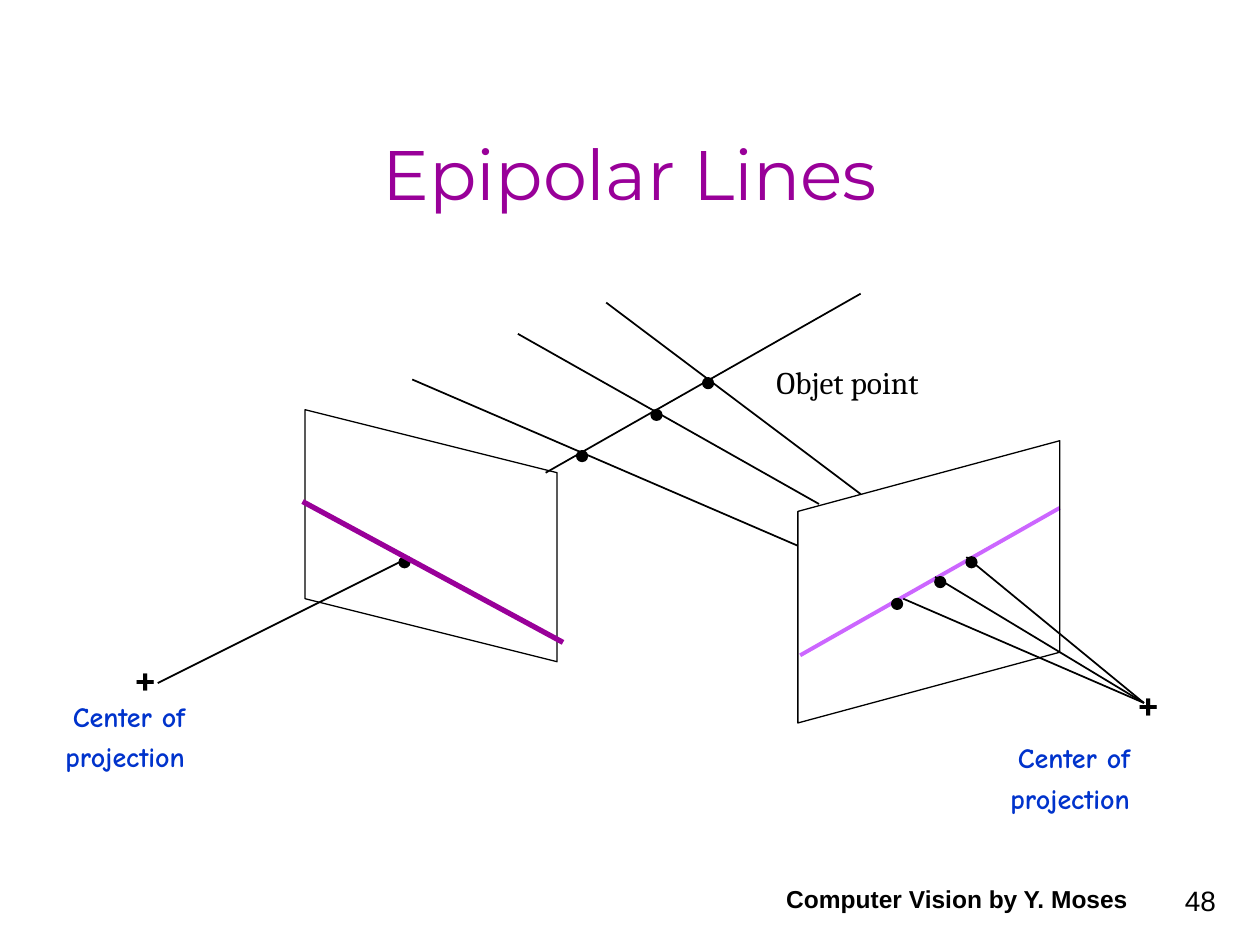
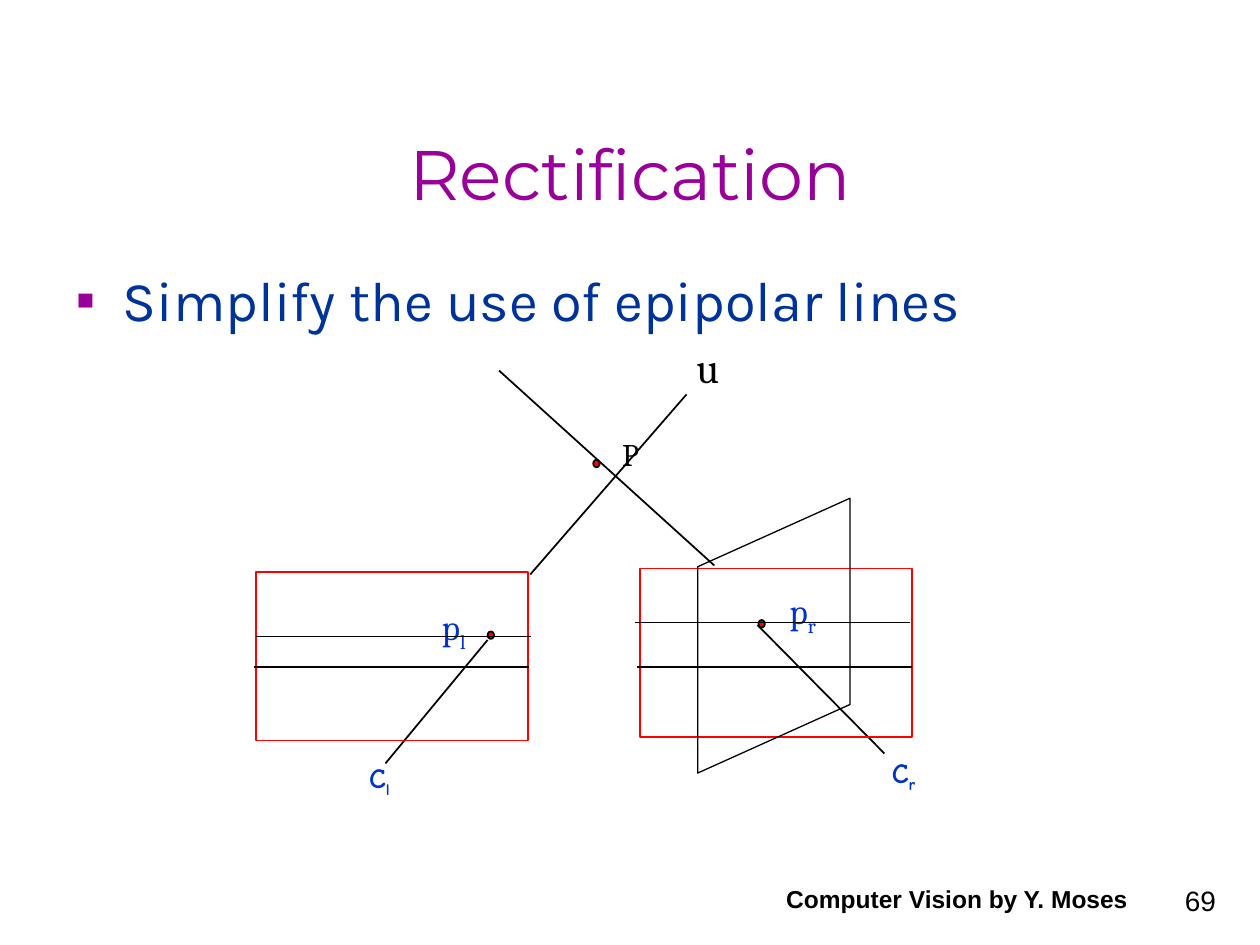
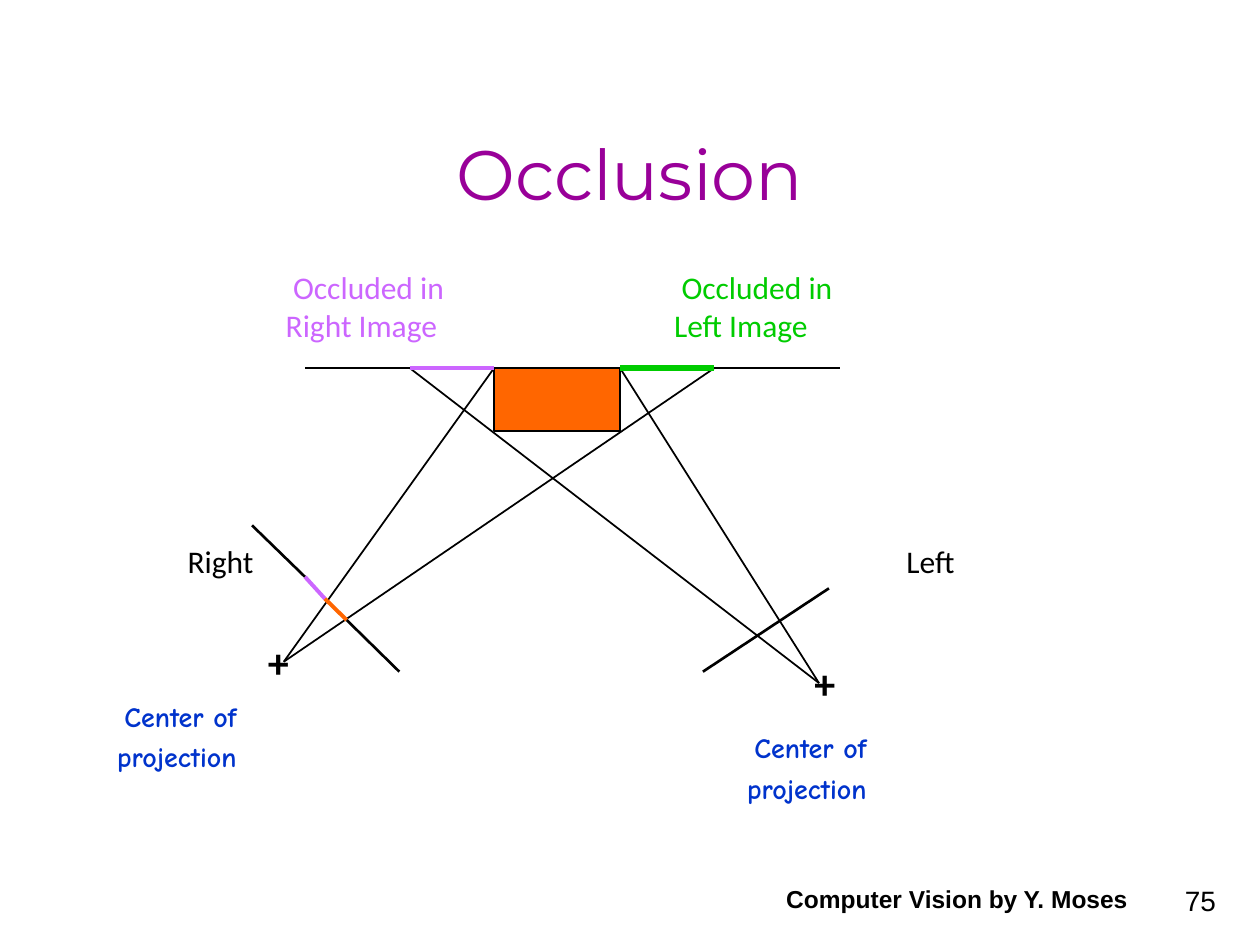
from lxml import etree
from pptx import Presentation
from pptx.dml.color import RGBColor
from pptx.enum.shapes import MSO_CONNECTOR, MSO_SHAPE
from pptx.enum.text import MSO_ANCHOR, MSO_AUTO_SIZE, PP_ALIGN
from pptx.oxml.ns import qn
from pptx.util import Cm, Pt

STRAIGHT = MSO_CONNECTOR.STRAIGHT
OVAL, RECT, SLANT = MSO_SHAPE.OVAL, MSO_SHAPE.RECTANGLE, MSO_SHAPE.PARALLELOGRAM
TOP, BOTTOM = MSO_ANCHOR.TOP, MSO_ANCHOR.BOTTOM
LEFT, MID, RIGHT = PP_ALIGN.LEFT, PP_ALIGN.CENTER, PP_ALIGN.RIGHT
FIXED = MSO_AUTO_SIZE.NONE

INK = {
    "black": "000000", "purple": "990099", "lilac": "CC66FF", "blue": "0033CC",
    "navy": "003399", "red": "FF0000", "orange": "FF6600", "green": "00CC00",
}
SERIF, SANS, COMIC = "Cambria", "Calibri", "Comic Neue"
TITLE_ONLY, TITLE_BODY = 5, 1


def color(name):
    return RGBColor.from_string(INK[name])


def style(para, face, size, ink, bold=False, align=LEFT):
    para.alignment = align
    para.space_before = Pt(0)
    font = para.font
    font.name, font.size, font.bold = face, Pt(size), bold
    font.color.rgb = color(ink)


def place(shape, left, top, width, height):
    shape.left, shape.top = Cm(left), Cm(top)
    shape.width, shape.height = Cm(width), Cm(height)


def label(slide, box, text, face, size, ink="black", bold=False,
          align=LEFT, anchor=TOP, sub=None):
    frame = slide.shapes.add_textbox(*map(Cm, box)).text_frame
    frame.word_wrap = True
    frame.vertical_anchor = anchor
    for index, line in enumerate(text.split("\n")):
        para = frame.paragraphs[0] if index == 0 else frame.add_paragraph()
        para.add_run().text = line
        if sub:
            low = para.add_run()
            low.text = sub
            low.font._element.set("baseline", "-25000")
        style(para, face, size, ink, bold, align)
    return frame


def pair(slide, left, top, text, face, size, ink, bold=False):
    frame = label(slide, (left, top, 4.3, 1.78), text, face, size, ink, bold)
    frame.paragraphs[0]._p.get_or_add_pPr().set("marL", str(Cm(0.15)))
    return frame


def center(slide, left, top):
    frame = pair(slide, left, top, "Center of\nprojection", COMIC, 16, "blue", True)
    frame.paragraphs[1].line_spacing = Pt(23)


def plus(slide, left, top, face):
    label(slide, (left, top, 1.42, 1.27), "+", face, 24, bold=True, align=RIGHT)


def line(slide, start, end, ink="black", weight=1):
    link = slide.shapes.add_connector(STRAIGHT, *map(Cm, start + end))
    link.line.color.rgb = color(ink)
    link.line.width = Pt(weight)
    etree.SubElement(link._element.spPr, qn("a:effectLst"))


def rays(slide, eye, ends):
    for end in ends:
        line(slide, eye, end)


def form(slide, kind, box, fill=None, ink="black", weight=1):
    shape = slide.shapes.add_shape(kind, *map(Cm, box))
    shape.shadow.inherit = False
    if fill:
        shape.fill.solid()
        shape.fill.fore_color.rgb = color(fill)
    else:
        shape.fill.background()
    shape.line.color.rgb = color(ink)
    shape.line.width = Pt(weight)
    return shape


def plane(slide, box, slant, turn, flip=False):
    shape = form(slide, SLANT, box, weight=0.75)
    shape.adjustments[0] = slant
    shape.rotation = turn
    if flip:
        shape._element.spPr.find(qn("a:xfrm")).set("flipH", "1")


def dots(slide, spots, width, height, fill):
    for left, top in spots:
        form(slide, OVAL, (left, top, width, height), fill)


def bullet(para):
    props = para._p.get_or_add_pPr()
    props.set("marL", str(Cm(0.95)))
    props.set("indent", str(-Cm(0.95)))
    tint = etree.SubElement(props, qn("a:buClr"))
    etree.SubElement(tint, qn("a:srgbClr"), val=INK["purple"])
    etree.SubElement(props, qn("a:buChar"), char="▪")


def start(deck, title, page, layout=TITLE_ONLY):
    slide = deck.slides.add_slide(deck.slide_layouts[layout])
    head = slide.shapes.title
    place(head, 1.9, 1.27, 21.6, 3.18)
    frame = head.text_frame
    frame.text = title
    frame.auto_size = FIXED
    frame.vertical_anchor = BOTTOM
    style(frame.paragraphs[0], "Montserrat", 40, "purple", align=MID)
    label(slide, (19.48, 17.35, 5.28, 1.27), page, "Arial", 16,
          align=RIGHT, anchor=BOTTOM)
    label(slide, (15.27, 17.27, 8.05, 1.27), "Computer Vision by Y. Moses",
          "Arial", 14, bold=True, align=MID, anchor=BOTTOM)
    return slide


def epipolar(deck):
    slide = start(deck, "Epipolar Lines", "48")
    line(slide, (21.36, 10.24), (16.13, 13.21), "lilac", 2.25)
    plane(slide, (15.88, 9.09, 5.69, 5.28), 0.27, 270, True)
    plane(slide, (6.15, 8.26, 5.08, 5.08), 0.25, 90)
    plus(slide, 2.01, 13.03, SERIF)
    plus(slide, 22.23, 13.54, SERIF)
    for begin, end in (
        ((3.18, 13.77), (8.26, 11.23)),
        ((11, 9.53), (17.35, 5.92)),
        ((12.22, 6.1), (17.35, 9.96)),
        ((16.51, 10.16), (10.44, 6.73)),
        ((16.08, 11), (8.31, 7.65)),
    ):
        line(slide, begin, end)
    rays(slide, (23.06, 14.17), [(19.48, 11.23), (18.85, 11.63), (18.21, 12.07)])
    dots(slide, [(8.05, 11.23), (19.48, 11.23), (18.85, 11.63), (17.98, 12.07),
                 (14.17, 7.62), (13.13, 8.26), (11.63, 9.09)], 0.21, 0.21, "black")
    label(slide, (15.19, 7.19, 3.58, 1.02), "Objet point", SERIF, 18, align=RIGHT)
    center(slide, 20.12, 14.81)
    center(slide, 1.07, 13.97)
    line(slide, (6.1, 10.11), (11.35, 12.95), "purple", 3)


def rectify(deck):
    slide = start(deck, "Rectification", "69", TITLE_BODY)
    body = slide.placeholders[1]
    place(body, 1.27, 5.23, 22.7, 11.58)
    frame = body.text_frame
    frame.text = "Simplify the use of epipolar lines"
    frame.auto_size = FIXED
    bullet(frame.paragraphs[0])
    style(frame.paragraphs[0], "Karla", 32, "navy")

    for left, top, sub in ((7.19, 15.21, "l"), (17.73, 15.11, "r")):
        label(slide, (left, top, 1.3, 0.94), "C", COMIC, 16, "blue", True, sub=sub)
    for begin, end in (
        ((7.77, 15.39), (9.83, 12.9)),
        ((10.69, 11.58), (13.84, 7.95)),
        ((10.06, 7.47), (14.4, 11.4)),
        ((17.83, 15.19), (15.27, 12.6)),
    ):
        line(slide, begin, end)
    dots(slide, [(9.83, 12.73), (15.29, 12.5), (11.96, 9.27)], 0.13, 0.15, "red")
    label(slide, (12.29, 8.64, 1.22, 1.02), "P", SERIF, 18)
    label(slide, (13.79, 6.76, 1.22, 1.27), "u", SERIF, 24)
    for left, top, sub in ((8.66, 12.09, "l"), (15.67, 11.76, "r")):
        label(slide, (left, top, 1.65, 1.09), "p", SERIF, 20, "blue", sub=sub)
    for left, top in ((5.16, 11.53), (12.9, 11.46)):
        form(slide, RECT, (left, top, 5.49, 3.4), ink="red")
    for left, top in ((5.16, 12.83), (5.13, 13.44), (12.85, 13.44), (12.8, 12.55)):
        line(slide, (left, top), (left + 5.54, top))
    plane(slide, (12.83, 11.28, 5.54, 3.07), 0.45, 270, True)


def occlude(deck):
    slide = start(deck, "Occlusion", "75")
    wall = 7.42
    line(slide, (6.15, wall), (16.94, wall))
    form(slide, RECT, (9.96, wall, 2.54, 1.27), "orange")
    rays(slide, (5.72, 13.34), [(14.4, wall), (9.96, wall)])
    rays(slide, (16.51, 13.77), [(8.26, wall), (12.5, wall)])
    line(slide, (16.71, 11.86), (14.17, 13.54), weight=1.5)
    plus(slide, 4.65, 12.7, SANS)
    plus(slide, 15.67, 13.13, SANS)
    line(slide, (12.5, wall), (14.4, wall), "green", 3)
    line(slide, (9.96, wall), (8.26, wall), "lilac", 2.25)
    pair(slide, 13.34, 5.28, "Occluded in\nLeft Image", SANS, 18, "green")
    pair(slide, 5.51, 5.28, "Occluded in\nRight Image", SANS, 18, "lilac")
    label(slide, (2.97, 10.8, 2.39, 1.02), "Right", SANS, 18, align=RIGHT)
    label(slide, (17.58, 10.8, 1.91, 1.02), "Left", SANS, 18, align=RIGHT)
    marks = [(5.08, 10.59), (6.15, 11.63), (6.55, 12.07), (6.99, 12.5), (8.05, 13.54)]
    looks = [("black", 1.5), ("lilac", 2.25), ("orange", 2.25), ("black", 1.5)]
    for begin, end, look in zip(marks, marks[1:], looks):
        line(slide, begin, end, *look)
    center(slide, 14.81, 14.61)
    center(slide, 2.11, 13.97)


def main():
    deck = Presentation()
    deck.slide_width, deck.slide_height = Cm(25.4), Cm(19.05)
    epipolar(deck)
    rectify(deck)
    occlude(deck)
    deck.save("out.pptx")


if __name__ == "__main__":
    main()
